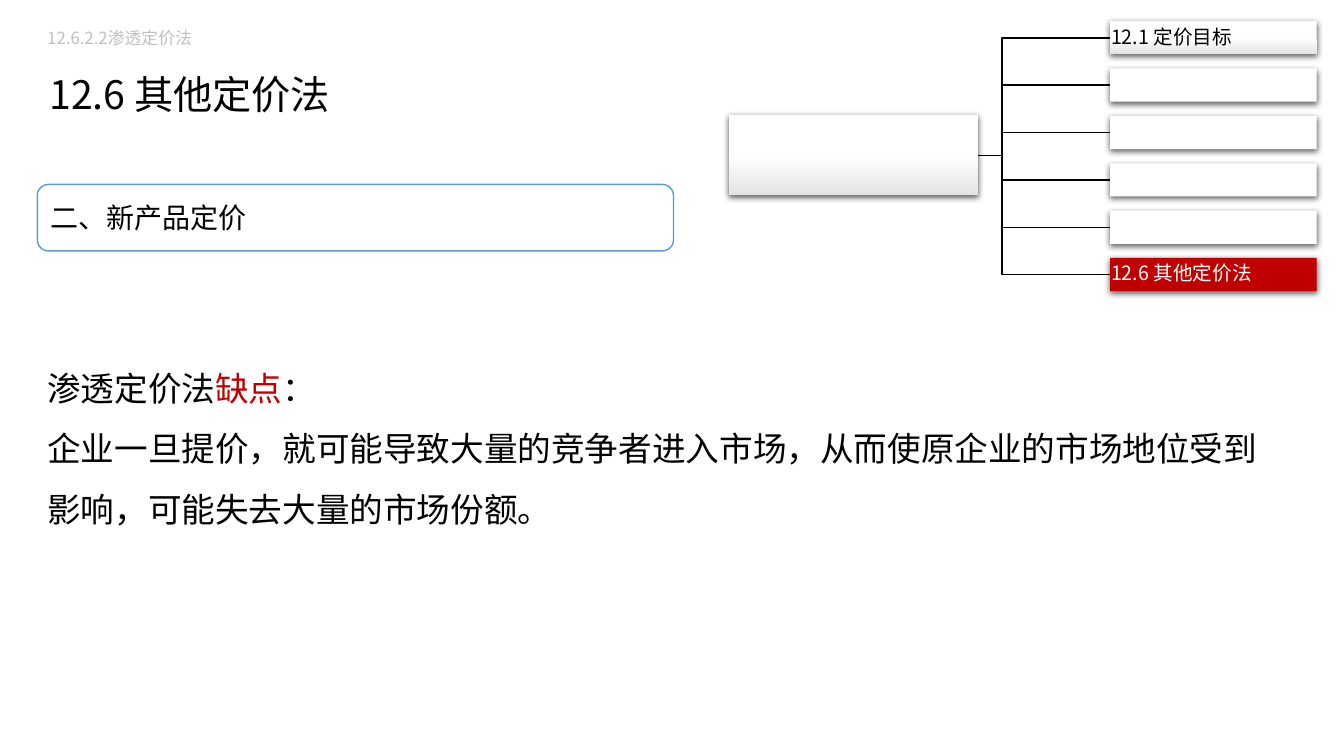
from lxml import etree
from pptx import Presentation, util as u
from pptx.dml.color import RGBColor
from pptx.enum import shapes, text
from pptx.oxml import ns

WIDE, HIGH = 13.33, 7.5
THEME = dict(
    font="Noto Sans CJK SC", ink="000000", paper="FFFFFF", shade="E3E3E3",
    accent="C00000", frame="5B9BD5", mute="BFBFBF",
    title=28, body=24, head=20, node=14, crumb=12,
)

CRUMB = [[("12.6.2.2渗透定价法", "mute")]]
TITLE = [[("12.6 其他定价法", "ink")]]
HEAD = [[("二、新产品定价", "ink")]]
BODY = [
    [("渗透定价法", "ink"), ("缺点", "accent"), ("：", "ink")],
    [("企业一旦提价，就可能导致大量的竞争者进入市场，从而使原企业的市场地位受到影响，可能失去大量的市场份额。", "ink")],
]
NODES = [
    ("12.1 定价目标", "fade", "ink"),
    ("", "paper", "ink"),
    ("", "paper", "ink"),
    ("", "paper", "ink"),
    ("", "paper", "ink"),
    ("12.6 其他定价法", "accent", "paper"),
]

LEFT = 0.37
ROOT = (7.23, 1.14, 2.47, 0.8)
NODE_X, NODE_Y, NODE_W, NODE_H = 11.01, 0.21, 2.05, 0.33
STEP = 0.47
STEM_X, FORK_X = 8.86, 9.94


def tint(name):
    return RGBColor.from_string(THEME[name])


def write(shape, lines, size, space=None, inset=(0.1, 0.05), mid=False, grow=False, wrap=True):
    frame = shape.text_frame
    frame.word_wrap = wrap
    frame.margin_left = frame.margin_right = u.Inches(inset[0])
    frame.margin_top = frame.margin_bottom = u.Inches(inset[1])
    frame.vertical_anchor = text.MSO_ANCHOR.MIDDLE if mid else text.MSO_ANCHOR.TOP
    if grow:
        frame.auto_size = text.MSO_AUTO_SIZE.SHAPE_TO_FIT_TEXT
    for i, line in enumerate(lines):
        para = frame.add_paragraph() if i else frame.paragraphs[0]
        para.alignment = text.PP_ALIGN.LEFT
        if space:
            para.line_spacing = space
        font = para.font
        font.size, font.name = u.Pt(THEME[size]), THEME["font"]
        same = len({tone for _, tone in line}) == 1
        if same:
            font.color.rgb = tint(line[0][1])
        east = etree.SubElement(font._element, ns.qn("a:ea"))
        east.set("typeface", THEME["font"])
        for words, tone in line:
            run = para.add_run()
            run.text = words
            if not same:
                run.font.color.rgb = tint(tone)


def label(slide, at, lines, size, **look):
    box = slide.shapes.add_textbox(*map(u.Inches, at))
    write(box, lines, size, grow=True, **look)


def block(slide, kind, at, fill):
    shape = slide.shapes.add_shape(kind, *map(u.Inches, at))
    shape.shadow.inherit = False
    shape.line.fill.background()
    if fill == "fade":
        shape.fill.gradient()
        shape.fill.gradient_angle = 270
        stops = shape.fill.gradient_stops
        for stop, place, tone in zip(stops, (0.5, 1), ("paper", "shade")):
            stop.position = place
            stop.color.rgb = tint(tone)
    else:
        shape.fill.solid()
        shape.fill.fore_color.rgb = tint(fill)
    return shape


def shade(shape):
    cast = etree.SubElement(
        shape._element.spPr.find(ns.qn("a:effectLst")), ns.qn("a:outerShdw"),
        blurRad=str(u.Pt(4.5)), dist=str(u.Pt(1.5)), dir="5400000", rotWithShape="0")
    color = etree.SubElement(cast, ns.qn("a:srgbClr"), val=THEME["ink"])
    etree.SubElement(color, ns.qn("a:alpha"), val="63000")


def branch(slide, start, end):
    pts = [start, (FORK_X, start[1]), (FORK_X, end[1]), end]
    pts = [tuple(map(u.Inches, p)) for p in pts]
    pen = slide.shapes.build_freeform(*pts[0])
    pen.add_line_segments(pts[1:], close=False)
    line = pen.convert_to_shape()
    line.shadow.inherit = False
    line.fill.background()
    line.line.color.rgb = tint("ink")
    line.line.width = u.Pt(1)


def tree(slide):
    rect = shapes.MSO_SHAPE.RECTANGLE
    start = (STEM_X, ROOT[1] + ROOT[3] / 2)
    tops = [NODE_Y + STEP * i for i in range(len(NODES))]
    for top in tops:
        branch(slide, start, (NODE_X, top + NODE_H / 2))
    shade(block(slide, rect, ROOT, "fade"))
    for top, (words, fill, tone) in zip(tops, NODES):
        node = block(slide, rect, (NODE_X, top, NODE_W, NODE_H), fill)
        shade(node)
        if words:
            write(node, [[(words, tone)]], "node", space=0.9, inset=(0.01, 0.01), mid=True)


def main():
    deck = Presentation()
    deck.slide_width, deck.slide_height = u.Inches(WIDE), u.Inches(HIGH)
    slide = deck.slides.add_slide(deck.slide_layouts[6])
    label(slide, (LEFT, 0.64, 9.65, 0.59), TITLE, "title", inset=(0.12, 0.06))
    head = block(slide, shapes.MSO_SHAPE.ROUNDED_RECTANGLE, (LEFT, 1.83, 6.31, 0.66), "paper")
    head.line.color.rgb = tint("frame")
    head.line.width = u.Pt(1)
    write(head, HEAD, "head", mid=True)
    tree(slide)
    label(slide, (LEFT, 3.4, 12.22, 1.92), BODY, "body", space=1.5)
    label(slide, (LEFT, 0.23, 1.72, 0.3), CRUMB, "crumb", wrap=False)
    deck.save("out.pptx")


if __name__ == "__main__":
    main()
